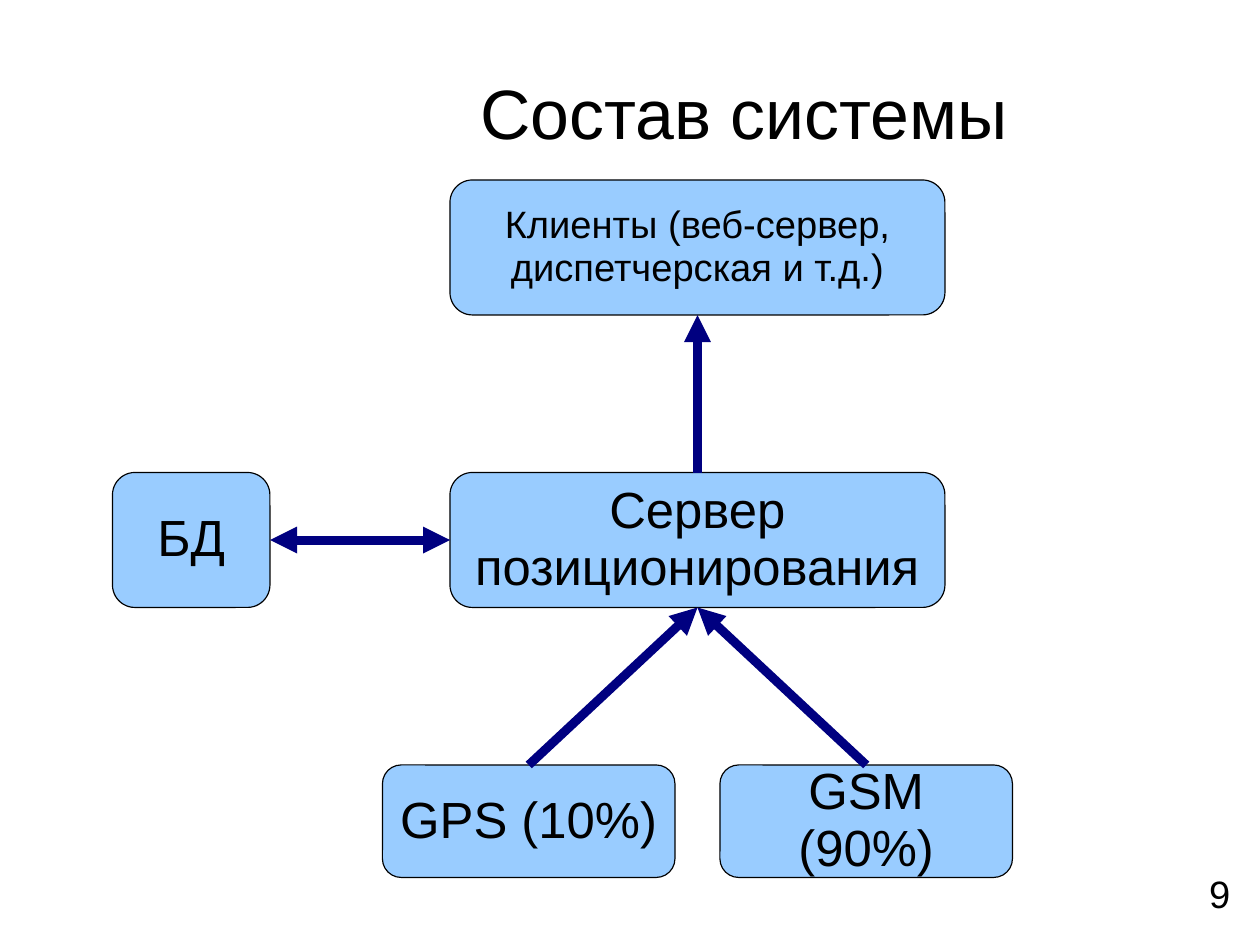
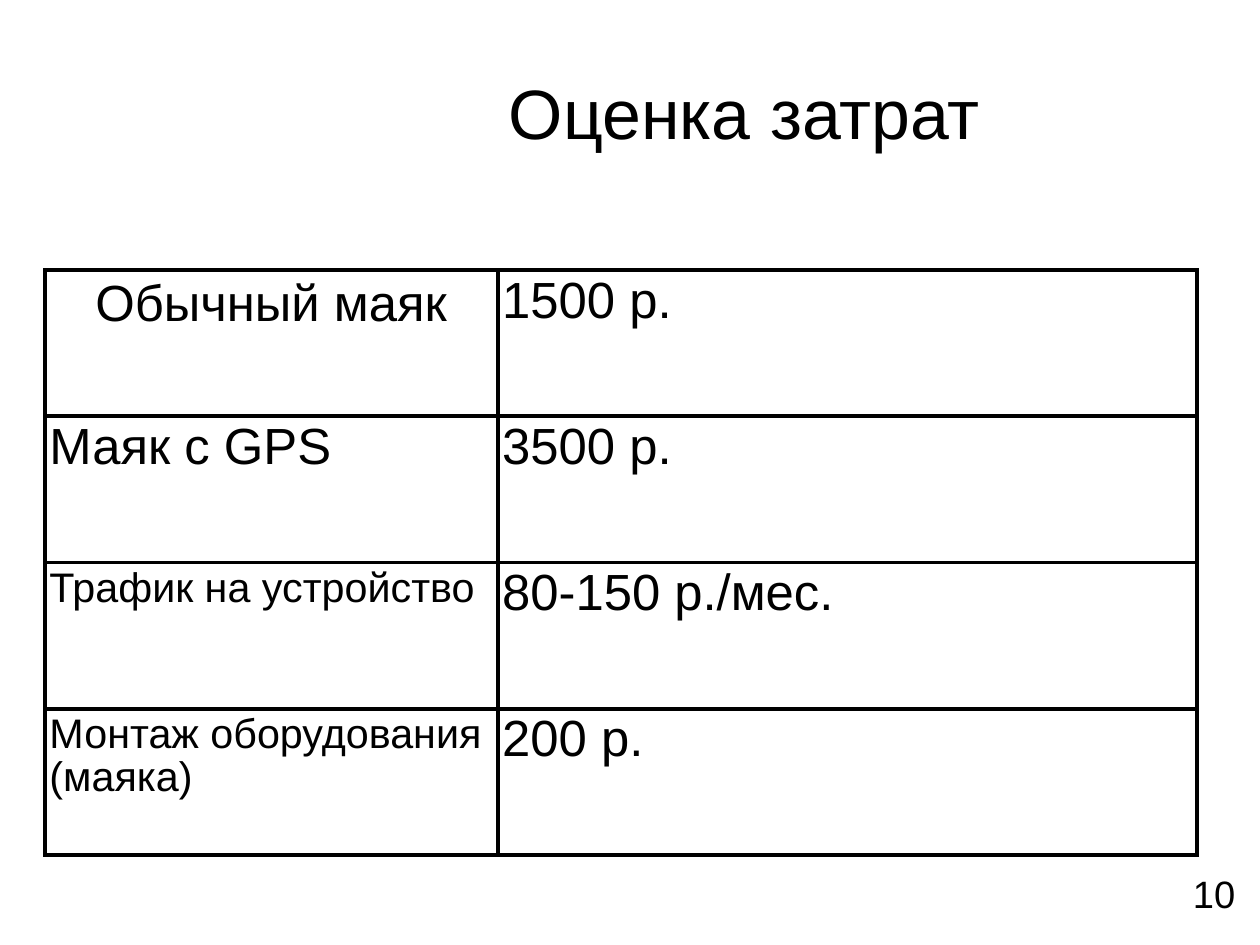
"""Build two slides: the make-up of a positioning system and its costs."""
import dataclasses
import typing

import lxml.etree
import pptx
import pptx.dml.color
import pptx.enum.dml
import pptx.enum.shapes
import pptx.enum.text
import pptx.oxml.ns
import pptx.util

PX = 3600
FONT = "Arial"
LINE_SPACING = 0.93
COLORS = {"text": "000000", "box": "99CCFF", "arrow": "000080", "border": "000000"}
ARROW_WIDTH = 5.67
BORDER_WIDTH = 2.83
ALIGN = pptx.enum.text.PP_ALIGN
ANCHOR = pptx.enum.text.MSO_ANCHOR
TOP, LEFT, BOTTOM, RIGHT = range(4)


@dataclasses.dataclass(frozen=True)
class Box:
    """A rounded block of the diagram, in px."""

    left: int
    top: int
    width: int
    height: int
    lines: tuple[str, ...]
    size: int = 32


@dataclasses.dataclass(frozen=True)
class Arrow:
    """An arrow between the sides of two named boxes."""

    start: str
    start_side: int
    end: str
    end_side: int
    both: bool = False


@dataclasses.dataclass(frozen=True)
class Cost:
    """A table row with the style of its first cell."""

    item: str
    price: str
    size: int = 32
    align: typing.Any = ALIGN.LEFT
    spacing: float = LINE_SPACING


BOXES = {
    "gps": Box(850, 1700, 650, 250, ("GPS (10%)",)),
    "gsm": Box(1600, 1700, 650, 250, ("GSM (90%)",)),
    "server": Box(1000, 1050, 1100, 300, ("Сервер", "позиционирования")),
    "database": Box(250, 1050, 350, 300, ("БД",)),
    "clients": Box(1000, 400, 1100, 300, ("Клиенты (веб-сервер,", "диспетчерская и т.д.)"), 24),
}
ARROWS = (
    Arrow("gps", TOP, "server", BOTTOM),
    Arrow("gsm", TOP, "server", BOTTOM),
    Arrow("database", RIGHT, "server", LEFT, both=True),
    Arrow("server", TOP, "clients", BOTTOM),
)
COSTS = (
    Cost("Обычный маяк", "1500 р.", align=ALIGN.CENTER, spacing=1.0),
    Cost("Маяк с GPS", "3500 р."),
    Cost("Трафик на устройство", "80-150 р./мес.", size=26),
    Cost("Монтаж оборудования (маяка)", "200 р.", size=26),
)
COLUMN_WIDTHS = (1006, 1554)
ROW_HEIGHT = 325


def px(*lengths: int) -> tuple[pptx.util.Emu, ...]:
    """Turn px into EMU."""
    return tuple(pptx.util.Emu(length * PX) for length in lengths)


def rgb(name: str) -> pptx.dml.color.RGBColor:
    """Look up a named colour."""
    return pptx.dml.color.RGBColor.from_string(COLORS[name])


def write(frame: typing.Any, lines: typing.Sequence[str], size: int,
          align: typing.Any = ALIGN.CENTER, spacing: float = LINE_SPACING) -> None:
    """Fill a text frame with one styled paragraph per line."""
    frame.text = "\n".join(lines)
    for paragraph in frame.paragraphs:
        paragraph.alignment = align
        paragraph.line_spacing = spacing
        paragraph.font.name = FONT
        paragraph.font.size = pptx.util.Pt(size)
        paragraph.font.color.rgb = rgb("text")


def set_margins(target: typing.Any, horizontal: int, vertical: int) -> None:
    """Set the inner margins of a text frame or a cell."""
    target.margin_left, target.margin_right = px(horizontal, horizontal)
    target.margin_top, target.margin_bottom = px(vertical, vertical)


def add_slide(presentation: typing.Any, title: str, number: int,
              number_left: int, number_width: int) -> typing.Any:
    """Add a slide with the shared title and page number."""
    slide = presentation.slides.add_slide(presentation.slide_layouts[5])
    shape = slide.shapes.title
    shape.left, shape.top, shape.width, shape.height = px(650, 0, 2009, 517)
    frame = shape.text_frame
    frame.auto_size = pptx.enum.text.MSO_AUTO_SIZE.NONE
    frame.vertical_anchor = ANCHOR.MIDDLE
    set_margins(frame, 0, 0)
    write(frame, [title], 44)

    number_box = slide.shapes.add_textbox(*px(number_left, 1930, number_width, 119))
    number_box.text_frame.word_wrap = False
    set_margins(number_box.text_frame, 25, 13)
    write(number_box.text_frame, [str(number)], 24, ALIGN.LEFT)
    return slide


def add_box(slide: typing.Any, box: Box) -> typing.Any:
    """Draw a rounded block."""
    shape = slide.shapes.add_shape(
        pptx.enum.shapes.MSO_SHAPE.ROUNDED_RECTANGLE,
        *px(box.left, box.top, box.width, box.height))
    shape.shadow.inherit = False
    shape.fill.solid()
    shape.fill.fore_color.rgb = rgb("box")
    shape.line.color.rgb = rgb("border")
    shape.line.width = pptx.util.Pt(0)
    frame = shape.text_frame
    frame.word_wrap = True
    frame.vertical_anchor = ANCHOR.MIDDLE
    set_margins(frame, 25, 13)
    write(frame, box.lines, box.size)
    return shape


def add_arrow(slide: typing.Any, arrow: Arrow, shapes: dict[str, typing.Any]) -> None:
    """Draw an arrow attached to two blocks."""
    connector = slide.shapes.add_connector(
        pptx.enum.shapes.MSO_CONNECTOR.STRAIGHT, *px(0, 0, 0, 0))
    connector.begin_connect(shapes[arrow.start], arrow.start_side)
    connector.end_connect(shapes[arrow.end], arrow.end_side)
    connector.line.color.rgb = rgb("arrow")
    connector.line.width = pptx.util.Pt(ARROW_WIDTH)
    line = connector.line._get_or_add_ln()
    for tag in ("a:headEnd", "a:tailEnd") if arrow.both else ("a:tailEnd",):
        lxml.etree.SubElement(line, pptx.oxml.ns.qn(tag), type="triangle")
    lxml.etree.SubElement(connector._element.spPr, pptx.oxml.ns.qn("a:effectLst"))


def add_borders(cell: typing.Any) -> None:
    """Give a cell a solid border on each side."""
    properties = cell._tc.get_or_add_tcPr()
    width = str(int(pptx.util.Pt(BORDER_WIDTH)))
    for side in ("a:lnL", "a:lnR", "a:lnT", "a:lnB"):
        line = lxml.etree.SubElement(properties, pptx.oxml.ns.qn(side), w=width)
        fill = lxml.etree.SubElement(line, pptx.oxml.ns.qn("a:solidFill"))
        lxml.etree.SubElement(fill, pptx.oxml.ns.qn("a:srgbClr"), val=COLORS["border"])


def add_cost_table(slide: typing.Any) -> None:
    """Draw the table of costs."""
    table = slide.shapes.add_table(
        len(COSTS), len(COLUMN_WIDTHS),
        *px(100, 600, sum(COLUMN_WIDTHS), ROW_HEIGHT * len(COSTS))).table
    table.first_row = False
    table.horz_banding = False
    for column, width in zip(table.columns, COLUMN_WIDTHS):
        column.width = px(width)[0]
    for row, cost in zip(table.rows, COSTS):
        row.height = px(ROW_HEIGHT)[0]
        item, price = row.cells
        write(item.text_frame, [cost.item], cost.size, cost.align, cost.spacing)
        write(price.text_frame, [cost.price], 32, ALIGN.LEFT)
        for cell in (item, price):
            set_margins(cell, 10, 13)
            add_borders(cell)
            cell.fill.background()


def main() -> None:
    """Build and save the presentation."""
    presentation = pptx.Presentation()
    presentation.slide_width, presentation.slide_height = px(2800, 2100)

    system_slide = add_slide(presentation, "Состав системы", 9, 2662, 97)
    shapes = {name: add_box(system_slide, box) for name, box in BOXES.items()}
    for arrow in ARROWS:
        add_arrow(system_slide, arrow, shapes)

    cost_slide = add_slide(presentation, "Оценка затрат", 10, 2626, 145)
    add_cost_table(cost_slide)
    presentation.save("out.pptx")


if __name__ == "__main__":
    main()
